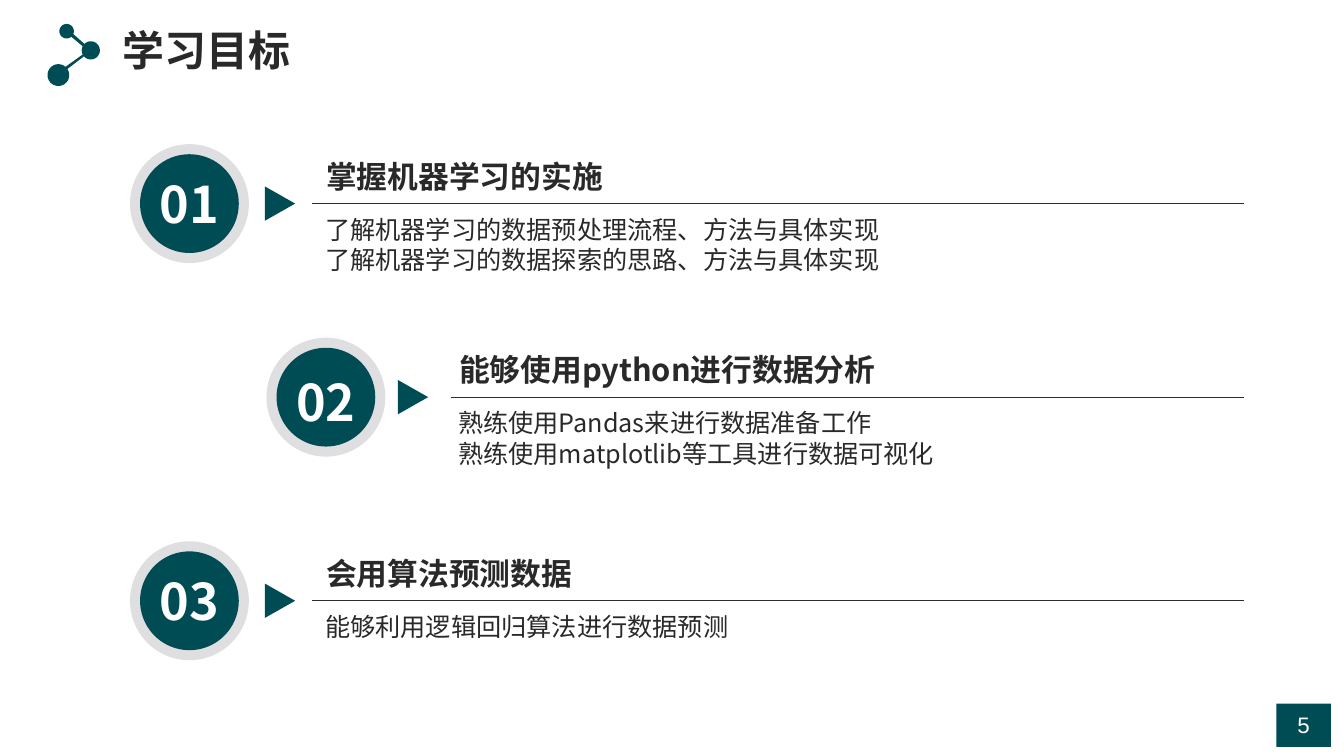
import math

import pptx
import pptx.dml.color
import pptx.enum.shapes
import pptx.enum.text
import pptx.oxml
import pptx.oxml.ns
import pptx.util

# Grid of square cells, ten to the inch
COLS, ROWS = 133.4, 75
CELL = pptx.util.Inches(0.1)
FONT = "Noto Sans CJK SC"
HEX = {"teal": "004C54", "ring": "DFDFE1", "ink": "292929", "rule": "2E2C2C", "white": "FFFFFF"}
KIND = pptx.enum.shapes.MSO_SHAPE
ALIGN = pptx.enum.text.PP_ALIGN

# number, drop of number, title, body, row, then columns of disc, arrow, rule and text
GOALS = [
    ("01", -3.55, "掌握机器学习的实施",
     ["了解机器学习的数据预处理流程、方法与具体实现", "了解机器学习的数据探索的思路、方法与具体实现"],
     20.2, 18.8, 26.3, 31, 31.3),
    ("02", -3.1, "能够使用python进行数据分析",
     ["熟练使用Pandas来进行数据准备工作", "熟练使用matplotlib等工具进行数据可视化"],
     39.4, 32.35, 39.5, 44.8, 44.5),
    ("03", -3.5, "会用算法预测数据", ["能够利用逻辑回归算法进行数据预测"],
     59.6, 18.8, 26.3, 31, 31.3),
]
RIGHT = 123.5

# Icon discs: centre, radius, first and last angle of each arc
ARCS = [
    (5.8, 7.45, 1.08, -34, 311),
    (9.02, 5, 0.9, 153, 207),
    (6.62, 3.1, 0.72, 50, 383),
    (9.02, 5, 0.9, 225, 499),
]


def grid(*cells):
    return [pptx.util.Emu(round(n * CELL)) for n in cells]


def tint(name):
    return pptx.dml.color.RGBColor.from_string(HEX[name])


def paint(shape, color):
    shape.shadow.inherit = False
    shape.fill.solid()
    shape.fill.fore_color.rgb = tint(color)
    shape.line.fill.background()


def block(slide, kind, x, y, w, h, color):
    paint(slide.shapes.add_shape(kind, *grid(x, y, w, h)), color)


def disc(slide, x, y, size, color):
    block(slide, KIND.OVAL, x - size / 2, y - size / 2, size, size, color)


def outline(slide, points, color):
    pen = slide.shapes.build_freeform(*grid(*points[0]))
    pen.add_line_segments([grid(*point) for point in points[1:]], close=True)
    paint(pen.convert_to_shape(), color)


def rule(slide, x, y, end):
    line = slide.shapes.add_connector(
        pptx.enum.shapes.MSO_CONNECTOR.STRAIGHT, *grid(x, y, end, y))
    line.line.color.rgb = tint("rule")
    line.line.width = pptx.util.Pt(0.5)
    props = line._element.spPr
    props.append(pptx.oxml.parse_xml(
        "<a:effectLst %s/>" % pptx.oxml.ns.nsdecls("a")))


def write(slide, lines, x, y, w, h, size=18, bold=False, color="ink",
          align=ALIGN.LEFT, face=FONT):
    frame = slide.shapes.add_textbox(*grid(x, y, w, h)).text_frame
    frame.word_wrap = True
    for i, line in enumerate(lines):
        para = frame.add_paragraph() if i else frame.paragraphs[0]
        para.alignment = align
        run = para.add_run()
        run.text = line
        font = run.font
        font.size, font.bold, font.name = pptx.util.Pt(size), bold, face
        font.color.rgb = tint(color)
        # East Asian glyphs take their own typeface
        font._element.append(pptx.oxml.parse_xml(
            '<a:ea %s typeface="%s"/>' % (pptx.oxml.ns.nsdecls("a"), face)))


def icon(slide):
    points = []
    for x, y, r, start, end in ARCS:
        steps = math.ceil((end - start) / 8)
        for i in range(steps + 1):
            turn = math.radians(start + (end - start) * i / steps)
            points.append((x + r * math.cos(turn), y + r * math.sin(turn)))
    outline(slide, points, "teal")


def goal(slide, num, drop, title, body, y, mid, tip, left, text):
    rule(slide, left, y, RIGHT)
    write(slide, [title], text + 0.1, y - 5.05, 46, 4.7, size=22, bold=True)
    write(slide, body, text, y + 0.55, RIGHT - text, 1 + 3 * len(body))
    outline(slide, [(tip, y - 1.7), (tip + 3, y), (tip, y + 1.7)], "teal")
    disc(slide, mid, y, 11.8, "ring")
    disc(slide, mid, y, 9.8, "teal")
    write(slide, [num], mid - 4.95, y + drop, 9.9, 7, size=36, bold=True,
          color="white", align=ALIGN.CENTER)


def main():
    deck = pptx.Presentation()
    deck.slide_width, deck.slide_height = grid(COLS, ROWS)
    slide = deck.slides.add_slide(deck.slide_layouts[6])

    # Page number
    block(slide, KIND.RECTANGLE, 126.7, 69.8, 5.4, 4.3, "teal")
    write(slide, ["5"], 126.7, 70.1, 5.4, 3.7, size=16, color="white",
          align=ALIGN.CENTER, face="Arial")

    # Heading
    write(slide, ["学习目标"], 11.2, 1.9, 24, 6, size=30, bold=True)
    icon(slide)

    # Learning goals
    for item in GOALS:
        goal(slide, *item)

    deck.save("out.pptx")


if __name__ == "__main__":
    main()
